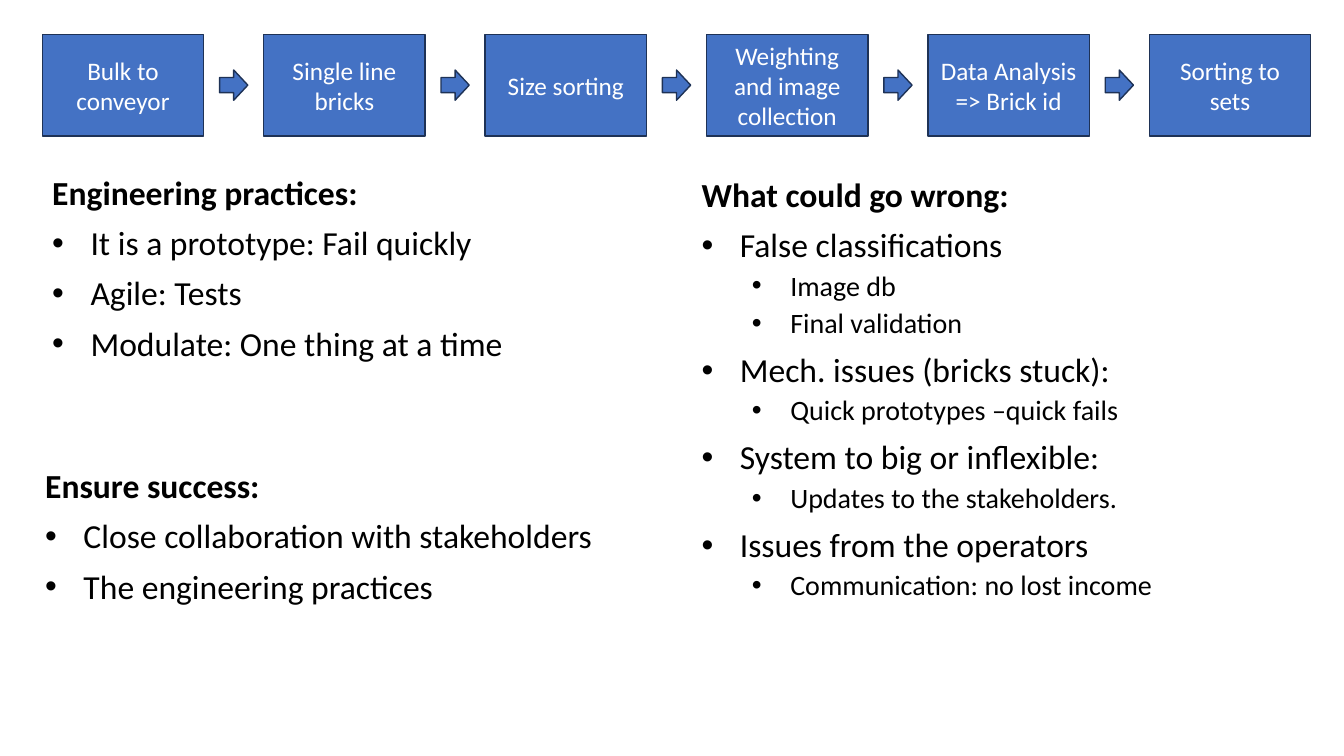
from lxml.etree import SubElement
from pptx import Presentation
from pptx.dml.color import RGBColor
from pptx.enum.shapes import MSO_SHAPE as Preset
from pptx.enum.text import MSO_ANCHOR as Anchor, PP_ALIGN as Align
from pptx.oxml.ns import qn
from pptx.util import Inches, Pt

FONT = "Calibri"
STEPS = [
    "Bulk to conveyor", "Single line bricks", "Size sorting",
    "Weighting and image collection", "Data Analysis => Brick id", "Sorting to sets",
]
BOX_LEFT, BOX_TOP, BOX_WIDTH, BOX_HEIGHT = 0.42, 0.34, 1.6, 1.01
ARROW_WIDTH, ARROW_HEIGHT = 0.28, 0.3
LAST_BOX_LEFT = 11.4
PITCH = (LAST_BOX_LEFT - BOX_LEFT) / (len(STEPS) - 1)
GAP = PITCH - BOX_WIDTH

# Each list: left, top, width, height, heading, then (level, text) bullets
LISTS = [
    (0.42, 1.7, 6.06, 2.19, "Engineering practices:", [
        (0, "It is a prototype: Fail quickly"),
        (0, "Agile: Tests"),
        (0, "Modulate: One thing at a time"),
    ]),
    (6.86, 1.72, 6.15, 5.54, "What could go wrong:", [
        (0, "False classifications"),
        (1, "Image db"),
        (1, "Final validation"),
        (0, "Mech. issues (bricks stuck):"),
        (1, "Quick prototypes –quick fails"),
        (0, "System to big or inflexible:"),
        (1, "Updates to the stakeholders."),
        (0, "Issues from the operators"),
        (1, "Communication: no lost income"),
    ]),
    (0.35, 4.61, 6.06, 2.19, "Ensure success:", [
        (0, "Close collaboration with stakeholders"),
        (0, "The engineering practices"),
    ]),
]
LEVEL_SIZE = [24, 20]
LEVEL_SPACE = [10, 5]
LEVEL_INDENT = [0.38, 0.88]
HANGING = 0.38


def color(hex_string):
    return RGBColor.from_string(hex_string)


def add_flow_shape(preset, left, top, width, height):
    shape = slide.shapes.add_shape(
        preset, Inches(left), Inches(top), Inches(width), Inches(height))
    shape.shadow.inherit = False
    shape.fill.solid()
    shape.fill.fore_color.rgb = color("4472C4")
    shape.line.color.rgb = color("1E3256")
    shape.line.width = Pt(1)
    return shape


presentation = Presentation()
presentation.slide_width = Inches(13.33)
presentation.slide_height = Inches(7.5)
slide = presentation.slides.add_slide(presentation.slide_layouts[6])

# Process flow
for index, step in enumerate(STEPS):
    left = BOX_LEFT + index * PITCH
    box = add_flow_shape(Preset.RECTANGLE, left, BOX_TOP, BOX_WIDTH, BOX_HEIGHT)
    frame = box.text_frame
    frame.text = step
    frame.word_wrap = True
    frame.vertical_anchor = Anchor.MIDDLE
    paragraph = frame.paragraphs[0]
    paragraph.alignment = Align.CENTER
    font = paragraph.runs[0].font
    font.name, font.size = FONT, Pt(18)
    font.color.rgb = color("FFFFFF")
    if index < len(STEPS) - 1:
        add_flow_shape(
            Preset.RIGHT_ARROW,
            left + BOX_WIDTH + (GAP - ARROW_WIDTH) / 2,
            BOX_TOP + (BOX_HEIGHT - ARROW_HEIGHT) / 2,
            ARROW_WIDTH, ARROW_HEIGHT)

# Headed bullet lists
for left, top, width, height, heading, bullets in LISTS:
    text_box = slide.shapes.add_textbox(
        Inches(left), Inches(top), Inches(width), Inches(height))
    frame = text_box.text_frame
    frame.word_wrap = True
    frame.text = "\n".join([heading] + [text for _, text in bullets])
    levels = [0] + [level for level, _ in bullets]
    for index, (paragraph, level) in enumerate(zip(frame.paragraphs, levels)):
        is_heading = index == 0
        paragraph.level = level
        paragraph.line_spacing = 0.9
        paragraph.space_before = Pt(LEVEL_SPACE[level])
        font = paragraph.runs[0].font
        font.name, font.size, font.bold = FONT, Pt(LEVEL_SIZE[level]), is_heading
        font.color.rgb = color("000000")
        if not is_heading:
            properties = paragraph._p.get_or_add_pPr()
            properties.set("marL", str(Inches(LEVEL_INDENT[level])))
            properties.set("indent", str(-Inches(HANGING)))
            SubElement(properties, qn("a:buFont")).set("typeface", "Arial")
            SubElement(properties, qn("a:buChar")).set("char", "•")

presentation.save("out.pptx")
